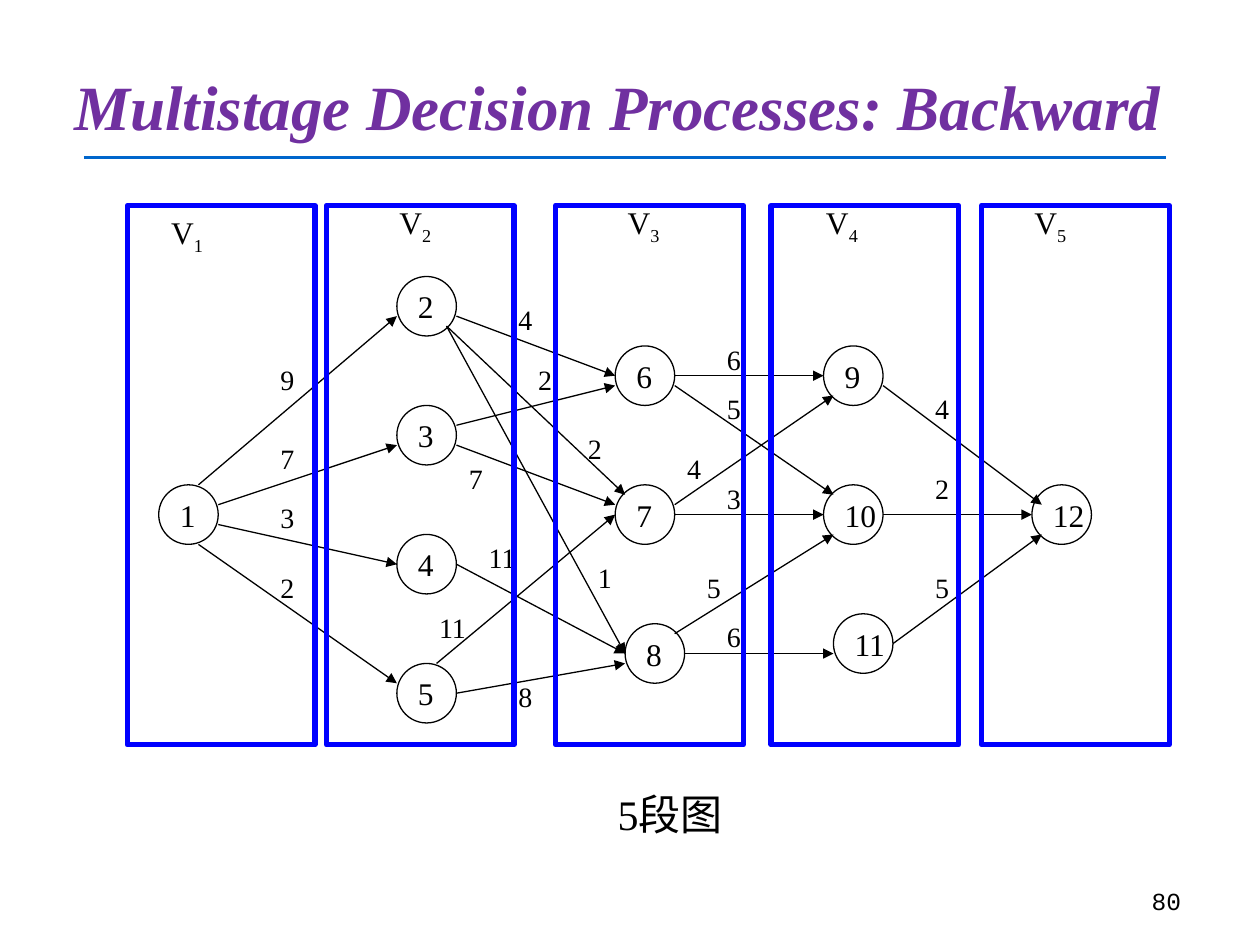
"""Build a slide showing a five-stage decision graph with weighted edges."""
from typing import NamedTuple

from lxml.etree import SubElement
from pptx import Presentation
from pptx.dml.color import RGBColor
from pptx.enum.shapes import MSO_CONNECTOR, MSO_SHAPE
from pptx.enum.text import MSO_ANCHOR, MSO_AUTO_SIZE, PP_ALIGN
from pptx.oxml.ns import qn
from pptx.util import Pt

COLORS = {
    "ink": "000000",
    "title": "7030A0",
    "rule": "0066CC",
    "frame": "0000FF",
    "shadow": "C0C0C0",
}
SERIF = "Times New Roman"
UNIT = 5.67
GRID_TOP = 4.9
NODE_SIZE = 6 * UNIT


class Node(NamedTuple):
    name: str
    column: int
    row: int


class Edge(NamedTuple):
    start: tuple[int, int]
    end: tuple[int, int]
    weight: str
    label: tuple[int, int]


class Stage(NamedTuple):
    number: str
    frame_left: float
    label: tuple[int, int]


NODES = [
    Node("1", 16, 48),
    Node("2", 40, 27), Node("3", 40, 40), Node("4", 40, 53), Node("5", 40, 66),
    Node("6", 62, 34), Node("7", 62, 48), Node("8", 63, 62),
    Node("9", 83, 34), Node("10", 83, 48), Node("11", 84, 61),
    Node("12", 104, 48),
]
EDGES = [
    Edge((20, 48), (40, 31), "9", (27, 35)),
    Edge((22, 50), (40, 44), "7", (27, 43)),
    Edge((22, 52), (40, 56), "3", (27, 49)),
    Edge((20, 54), (40, 68), "2", (27, 56)),
    Edge((45, 32), (63, 65), "1", (59, 55)),
    Edge((45, 32), (63, 49), "2", (58, 42)),
    Edge((46, 31), (62, 37), "4", (51, 29)),
    Edge((46, 42), (62, 38), "2", (53, 35)),
    Edge((46, 44), (62, 50), "7", (46, 45)),
    Edge((46, 56), (63, 65), "11", (48, 53)),
    Edge((44, 66), (62, 51), "11", (43, 60)),
    Edge((46, 69), (63, 66), "8", (51, 67)),
    Edge((68, 37), (83, 37), "6", (72, 33)),
    Edge((68, 38), (84, 49), "5", (72, 38)),
    Edge((68, 50), (84, 39), "4", (68, 44)),
    Edge((68, 51), (83, 51), "3", (72, 47)),
    Edge((68, 63), (84, 53), "5", (70, 56)),
    Edge((69, 65), (84, 65), "6", (72, 61)),
    Edge((89, 38), (105, 50), "4", (93, 38)),
    Edge((89, 51), (104, 51), "2", (93, 46)),
    Edge((90, 64), (105, 53), "5", (93, 56)),
]
STAGES = [
    Stage("1", 72.7, (16, 20)),
    Stage("2", 186.5, (39, 19)),
    Stage("3", 317.5, (62, 19)),
    Stage("4", 440.6, (82, 19)),
    Stage("5", 560.9, (103, 19)),
]


def color(name: str) -> RGBColor:
    return RGBColor.from_string(COLORS[name])


def grid(column: int, row: int) -> tuple[float, float]:
    return column * UNIT, GRID_TOP + row * UNIT


def add_span(para, text: str, size: float, font: str = SERIF, ink: str = "ink"):
    span = para.add_run()
    span.text = text
    span.font.name = font
    span.font.size = Pt(size)
    span.font.color.rgb = color(ink)
    return span


def add_text(page, left: float, top: float, width: float, height: float,
             text: str, size: float, font: str = SERIF):
    box = page.shapes.add_textbox(Pt(left), Pt(top), Pt(width), Pt(height))
    box.text_frame.word_wrap = True
    para = box.text_frame.paragraphs[0]
    add_span(para, text, size, font)
    return para


def add_outline(page, kind: MSO_SHAPE, left: float, top: float,
                width: float, height: float, line: str, weight: float):
    shape = page.shapes.add_shape(kind, Pt(left), Pt(top), Pt(width), Pt(height))
    shape.shadow.inherit = False
    shape.fill.background()
    shape.line.color.rgb = color(line)
    shape.line.width = Pt(weight)
    return shape


def add_line(page, start: tuple[float, float], end: tuple[float, float],
             line: str, weight: float, arrow: bool = False) -> None:
    connector = page.shapes.add_connector(
        MSO_CONNECTOR.STRAIGHT, *(Pt(value) for value in (*start, *end)))
    connector.line.color.rgb = color(line)
    connector.line.width = Pt(weight)
    if arrow:
        SubElement(connector.line._get_or_add_ln(), qn("a:tailEnd"), type="triangle")
    SubElement(connector._element.spPr, qn("a:effectLst"))


def add_title(page, text: str) -> None:
    title = page.shapes.title
    title.left, title.top, title.width, title.height = Pt(35.3), Pt(36), Pt(655), Pt(48.2)
    frame = title.text_frame
    frame.auto_size = MSO_AUTO_SIZE.NONE
    frame.vertical_anchor = MSO_ANCHOR.MIDDLE
    para = frame.paragraphs[0]
    para.alignment = PP_ALIGN.LEFT
    span = add_span(para, text, 36, ink="title")
    span.font.bold = span.font.italic = True
    effects = span.font._element.makeelement(qn("a:effectLst"))
    span.font.fill._xPr.find(qn("a:solidFill")).addnext(effects)
    shadow = SubElement(effects, qn("a:outerShdw"), dist="35921", dir="2700000")
    SubElement(shadow, qn("a:srgbClr"), val=COLORS["shadow"])


def add_node(page, node: Node) -> None:
    circle = add_outline(page, MSO_SHAPE.OVAL, *grid(node.column, node.row),
                         NODE_SIZE, NODE_SIZE, "ink", 0.75)
    frame = circle.text_frame
    frame.word_wrap = False
    frame.vertical_anchor = MSO_ANCHOR.MIDDLE
    para = frame.paragraphs[0]
    para.alignment = PP_ALIGN.LEFT
    add_span(para, node.name, 18)


def main() -> None:
    deck = Presentation()
    deck.slide_width, deck.slide_height = Pt(720), Pt(540)
    page = deck.slides.add_slide(deck.slide_layouts[5])
    add_line(page, (48, 90), (666, 90), "rule", 1.75)
    number = add_text(page, 514, 502.6, 168, 37.4, "80", 14, "Courier New")
    number.alignment = PP_ALIGN.RIGHT
    add_title(page, "Multistage Decision Processes: Backward")

    for node in NODES:
        add_node(page, node)
    for edge in EDGES:
        add_line(page, grid(*edge.start), grid(*edge.end), "ink", 0.75, arrow=True)
    for edge in EDGES:
        add_text(page, *grid(*edge.label), NODE_SIZE, 26.6, edge.weight, 16)
    for stage in STAGES:
        para = add_text(page, *grid(*stage.label), 7 * UNIT, 31.7, "V", 18)
        subscript = add_span(para, stage.number, 18)
        subscript.font._element.set("baseline", "-25000")
    add_text(page, *grid(61, 78), 19 * UNIT, 36, "5段图", 24)
    for stage in STAGES:
        add_outline(page, MSO_SHAPE.RECTANGLE, stage.frame_left, 117.4,
                    107.3, 308.2, "frame", 3)
    deck.save("out.pptx")


if __name__ == "__main__":
    main()
